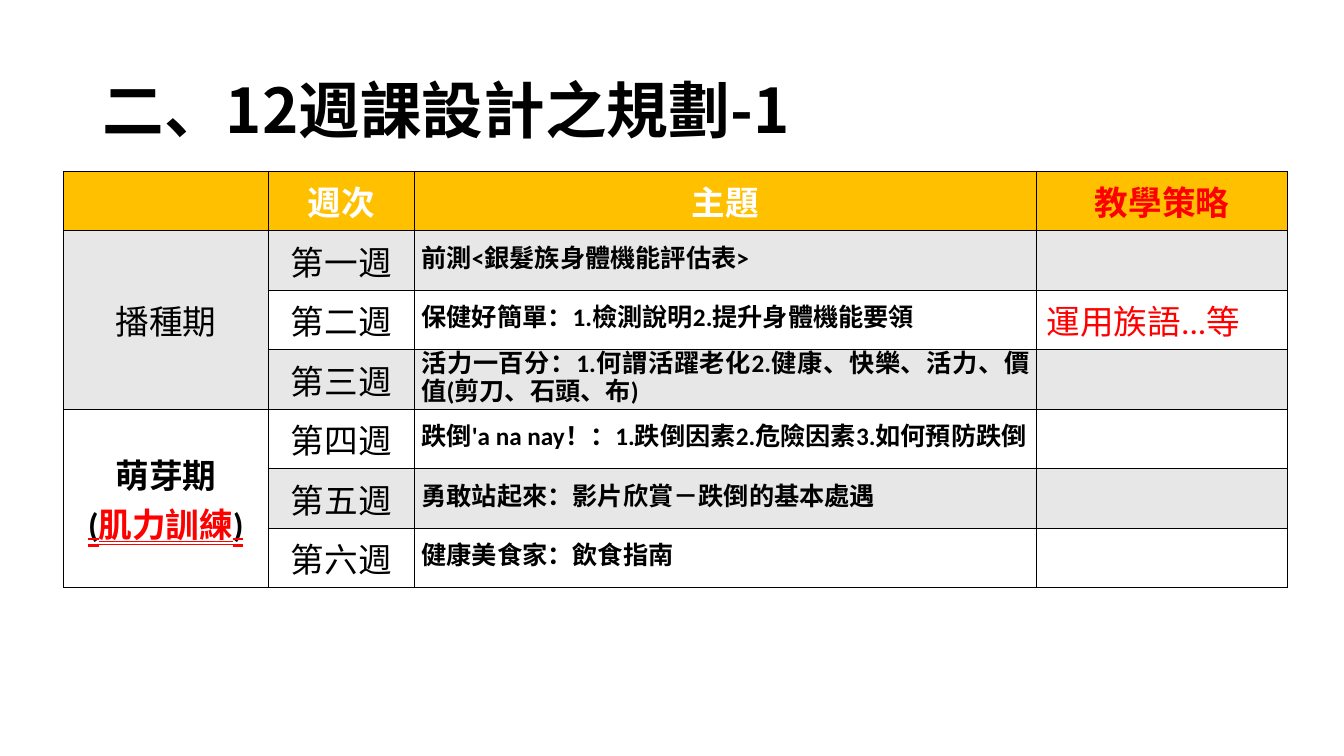
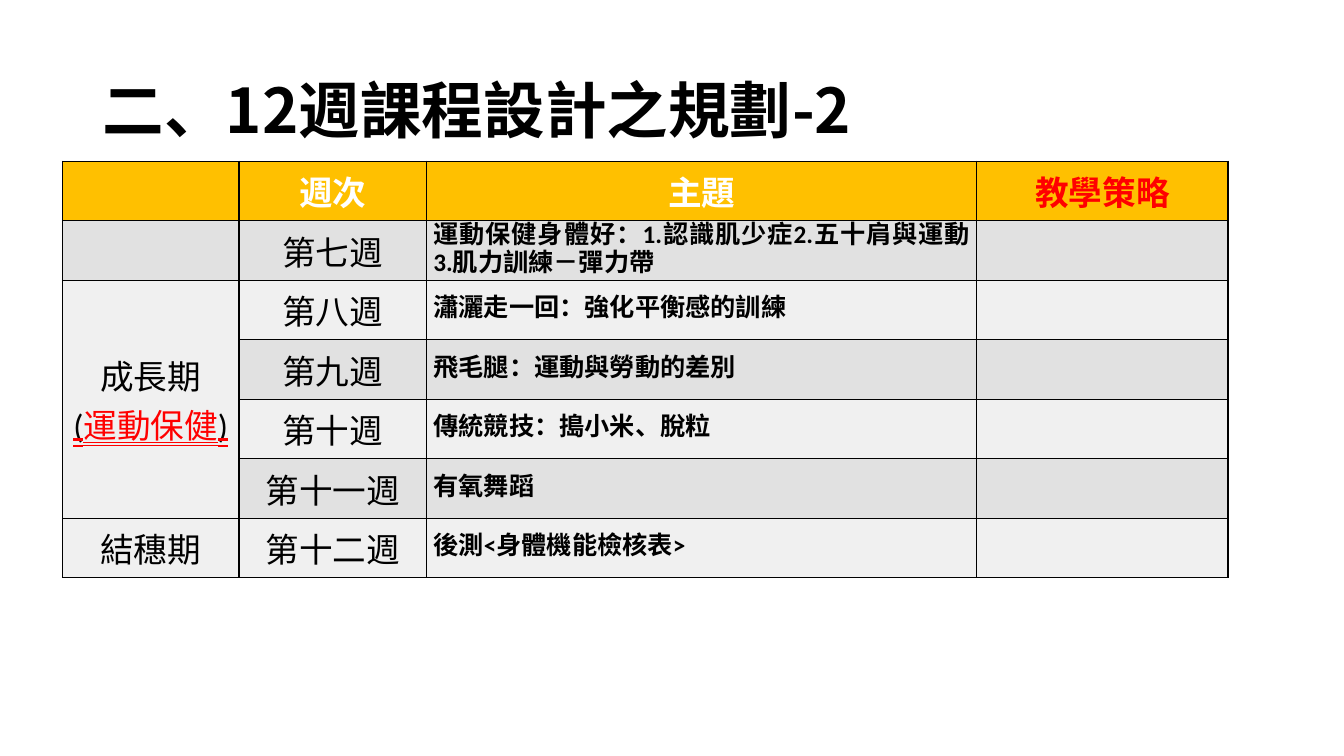
from itertools import accumulate

from lxml.etree import SubElement
from pptx import Presentation
from pptx.dml.color import RGBColor
from pptx.enum.text import MSO_ANCHOR as Anchor, MSO_UNDERLINE as Underline, PP_ALIGN as Align
from pptx.oxml import parse_xml
from pptx.oxml.ns import nsdecls, qn
from pptx.util import Inches, Pt

BLACK = RGBColor(0x00, 0x00, 0x00)
WHITE = RGBColor(0xFF, 0xFF, 0xFF)
RED = RGBColor(0xFF, 0x00, 0x00)
AMBER = RGBColor(0xFF, 0xC0, 0x00)
GREY = RGBColor(0xE7, 0xE7, 0xE7)
DARK_GREY = RGBColor(0xE1, 0xE1, 0xE1)
LIGHT_GREY = RGBColor(0xF0, 0xF0, 0xF0)

LATIN_FONT = "Calibri"
CHINESE_FONT = "Noto Sans CJK SC"
HEADINGS = (("", WHITE), ("週次", WHITE), ("主題", WHITE), ("教學策略", RED))
ROW_HEIGHT = 7.87  # percent of the slide's height

# Each stage: name, focus, bold, and its weeks as (number, topic, strategy)
FIRST_HALF = [
    ("播種期", "", False, [
        ("一", "前測<銀髮族身體機能評估表>", ""),
        ("二", "保健好簡單：1.檢測說明2.提升身體機能要領", "運用族語...等"),
        ("三", "活力一百分：1.何謂活躍老化2.健康、快樂、活力、價值(剪刀、石頭、布)", ""),
    ]),
    ("萌芽期", "肌力訓練", True, [
        ("四", "跌倒'a na nay！：1.跌倒因素2.危險因素3.如何預防跌倒", ""),
        ("五", "勇敢站起來：影片欣賞－跌倒的基本處遇", ""),
        ("六", "健康美食家：飲食指南", ""),
    ]),
]
SECOND_HALF = [
    ("", "", False, [
        ("七", "運動保健身體好：1.認識肌少症2.五十肩與運動3.肌力訓練－彈力帶", ""),
    ]),
    ("成長期", "運動保健", False, [
        ("八", "瀟灑走一回：強化平衡感的訓練", ""),
        ("九", "飛毛腿：運動與勞動的差別", ""),
        ("十", "傳統競技：搗小米、脫粒", ""),
        ("十一", "有氧舞蹈", ""),
    ]),
    ("結穗期", "", False, [
        ("十二", "後測<身體機能檢核表>", ""),
    ]),
]


class CourseDeck:
    """Holds the style and the current slide; lengths are percent of the slide."""

    def __init__(self):
        self.presentation = Presentation()
        self.presentation.slide_width = Inches(13.33)
        self.presentation.slide_height = Inches(7.5)
        self.slide = None

    def across(self, percent):
        return round(self.presentation.slide_width * percent / 100)

    def down(self, percent):
        return round(self.presentation.slide_height * percent / 100)

    def new_slide(self, title):
        self.slide = self.presentation.slides.add_slide(self.presentation.slide_layouts[6])
        box = self.slide.shapes.add_textbox(
            self.across(6.9), self.down(5.33), self.across(86.25), self.down(19.33))
        frame = box.text_frame
        frame.word_wrap = True
        frame.vertical_anchor = Anchor.MIDDLE
        frame.text = title
        paragraph = frame.paragraphs[0]
        paragraph.line_spacing = 0.9
        self.style_run(paragraph.runs[0], 44, BLACK, True, CHINESE_FONT)

    def style_run(self, run, size, color, bold=False, latin=LATIN_FONT):
        font = run.font
        font.size, font.bold, font.name = Pt(size), bold, latin
        font.color.rgb = color
        latin_element = run._r.get_or_add_rPr().find(qn("a:latin"))
        latin_element.addnext(parse_xml(
            f'<a:ea {nsdecls("a")} typeface="{CHINESE_FONT}"/>'))

    def underline_run(self, run):
        """Give a run a red double underline, whatever its own colour."""
        run.font.underline = Underline.DOUBLE_LINE
        run._r.get_or_add_rPr().find(qn("a:latin")).addprevious(parse_xml(
            f'<a:uFill {nsdecls("a")}><a:solidFill><a:srgbClr val="{RED}"/>'
            "</a:solidFill></a:uFill>"))

    def paint_cell(self, cell, color):
        cell.fill.solid()
        cell.fill.fore_color.rgb = color
        properties = cell._tc.get_or_add_tcPr()
        for position, side in enumerate("LRTB"):
            border = parse_xml(f'<a:ln{side} {nsdecls("a")} w="{Pt(1)}"/>')
            fill = SubElement(border, qn("a:solidFill"))
            SubElement(fill, qn("a:srgbClr"), val=str(BLACK))
            properties.insert(position, border)

    def write_cell(self, cell, text, size=24, color=BLACK, bold=False,
                   align=Align.CENTER, anchor=Anchor.MIDDLE):
        if not text:
            return
        cell.vertical_anchor = anchor
        cell.text_frame.text = text
        paragraph = cell.text_frame.paragraphs[0]
        paragraph.alignment = align
        self.style_run(paragraph.runs[0], size, color, bold)

    def write_topic(self, cell, topic):
        self.write_cell(cell, topic, 18, bold=True, align=Align.JUSTIFY)
        cell.margin_left = cell.margin_right = Inches(0.07)
        cell.margin_top = cell.margin_bottom = 0
        cell.text_frame.paragraphs[0].line_spacing = Pt(20)

    def write_stage(self, cell, name, focus, bold):
        self.write_cell(cell, name, bold=bold)
        if focus:
            paragraph = cell.text_frame.add_paragraph()
            paragraph.alignment = Align.CENTER
            for text, color in (("(", BLACK), (focus, RED), (")", BLACK)):
                run = paragraph.add_run()
                run.text = text
                self.style_run(run, 24, color, bold)
                self.underline_run(run)

    def add_schedule(self, left, top, widths, stages, bands):
        """Draw the weeks of all stages, row fills alternating between two bands."""
        counts = [len(weeks) for *_, weeks in stages]
        row_count = 1 + sum(counts)
        table = self.slide.shapes.add_table(
            row_count, len(widths), self.across(left), self.down(top),
            self.across(sum(widths)), self.down(ROW_HEIGHT * row_count)).table
        table.first_row = table.horz_banding = False
        for column, width in zip(table.columns, widths):
            column.width = self.across(width)
        for index, row in enumerate(table.rows):
            row.height = self.down(ROW_HEIGHT)
            for cell in row.cells:
                self.paint_cell(cell, bands[(index - 1) % 2] if index else AMBER)
        for column, (heading, color) in enumerate(HEADINGS):
            self.write_cell(table.cell(0, column), heading, color=color, bold=True)

        starts = accumulate(counts, initial=1)
        for start, (name, focus, bold, weeks) in zip(starts, stages):
            stage_cell = table.cell(start, 0)
            if len(weeks) > 1:
                stage_cell.merge(table.cell(start + len(weeks) - 1, 0))
            self.write_stage(stage_cell, name, focus, bold)
            for row, (number, topic, strategy) in enumerate(weeks, start):
                self.write_cell(table.cell(row, 1), f"第{number}週")
                self.write_topic(table.cell(row, 2), topic)
                self.write_cell(table.cell(row, 3), strategy, color=RED,
                                align=Align.LEFT, anchor=Anchor.TOP)


def main():
    deck = CourseDeck()
    deck.new_slide("二、12週課設計之規劃-1")
    deck.add_schedule(4.73, 22.67, (15.23, 10.88, 46.29, 18.68), FIRST_HALF, (GREY, WHITE))
    deck.new_slide("二、12週課程設計之規劃-2")
    deck.add_schedule(4.65, 21.33, (13.13, 13.95, 40.96, 18.68), SECOND_HALF,
                      (DARK_GREY, LIGHT_GREY))
    deck.presentation.save("out.pptx")


if __name__ == "__main__":
    main()
